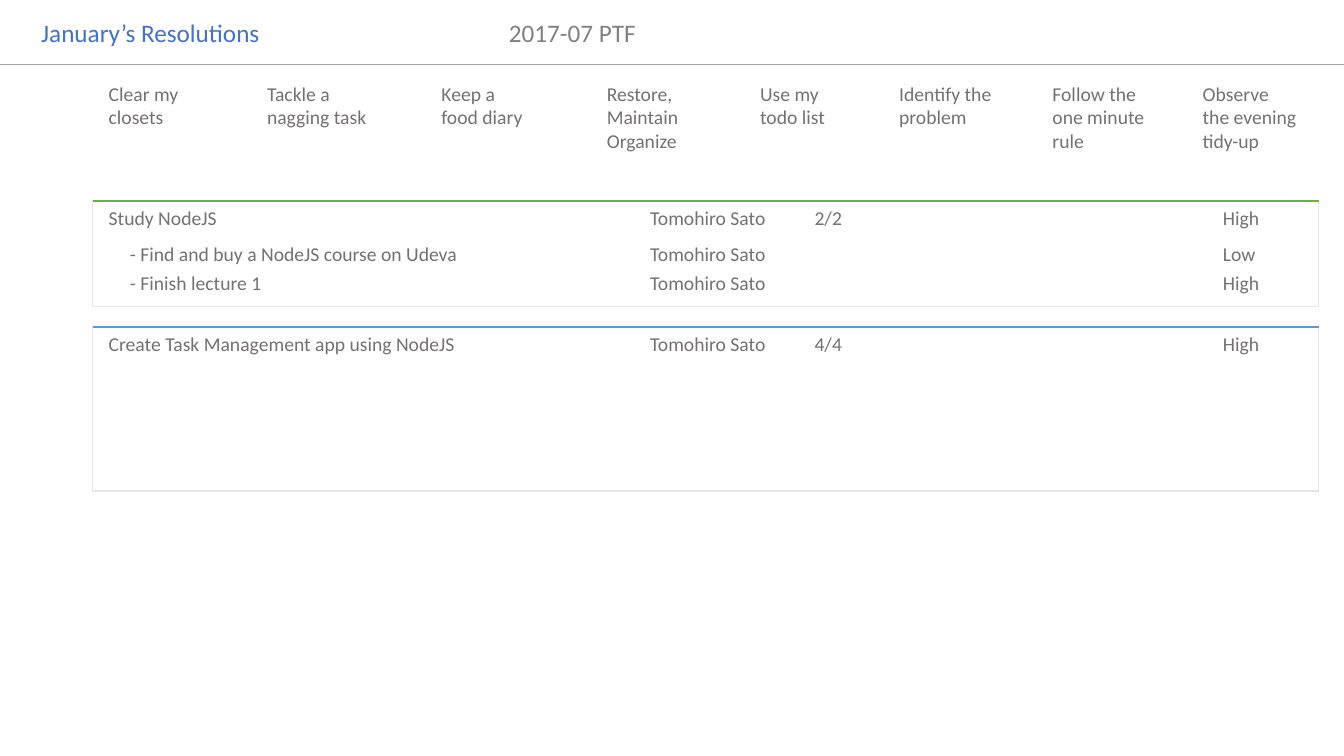
from pptx import Presentation
from pptx.util import Inches, Pt
from pptx.dml.color import RGBColor as RGB
from pptx.enum.shapes import MSO_SHAPE as SHAPE, MSO_CONNECTOR as LINK
from pptx.enum.text import MSO_AUTO_SIZE as FIT
from lxml.etree import SubElement
from pptx.oxml.ns import qn

BLUE = RGB(0x44, 0x72, 0xC4)
GRAY = RGB(0x80, 0x80, 0x80)
TEXT = RGB(0x76, 0x71, 0x71)
RULE = RGB(0xA5, 0xA5, 0xA5)
EDGE = RGB(0xE7, 0xE6, 0xE6)
GREEN = RGB(0x70, 0xAD, 0x47)
SKY = RGB(0x5B, 0x9B, 0xD5)

TITLES = [
    ("January’s Resolutions", 0.31, 2.39, BLUE),
    ("2017-07 PTF", 4.95, 1.47, GRAY),
]
HABITS = [
    ("Clear my closets", 0.98, 1.13),
    ("Tackle a nagging task", 2.55, 1.39),
    ("Keep a food diary", 4.28, 1.11),
    ("Restore, Maintain Organize", 5.92, 0.92),
    ("Use my todo list", 7.44, 1.02),
    ("Identify the problem", 8.82, 1.16),
    ("Follow the one minute rule", 10.34, 1.14),
    ("Observe the evening tidy-up", 11.83, 1.14),
]
OWNER = "Tomohiro Sato"
GOALS = [
    (1.99, 1.05, GREEN, [
        ("Study NodeJS", 1.28, "2/2", "High", 0),
        ("- Find and buy a NodeJS course on Udeva", 3.53, "", "Low", 0.36),
        ("- Finish lecture 1", 1.52, "", "High", 0.65),
    ]),
    (3.24, 1.63, SKY, [
        ("Create Task Management app using NodeJS", 3.67, "4/4", "High", 0),
    ]),
]
LEFT, WIDE = 0.92, 12.16
TASK, STEP, WHO, DONE, RANK = 0.98, 1.19, 6.35, 7.98, 12.03
RANKS = {"High": 0.57, "Low": 0.53}

deck = Presentation()
deck.slide_width, deck.slide_height = Inches(13.33), Inches(7.5)
slide = deck.slides.add_slide(deck.slide_layouts[6])


def write(text, x, y, w, h=0.34, size=14, color=TEXT, wrap=False):
    box = slide.shapes.add_textbox(Inches(x), Inches(y), Inches(w), Inches(h))
    frame = box.text_frame
    frame.text = text
    frame.word_wrap = wrap
    frame.auto_size = FIT.SHAPE_TO_FIT_TEXT
    font = frame.paragraphs[0].runs[0].font
    font.name, font.size, font.color.rgb = "Calibri", Pt(size), color


def rule(x, y, end, color, width):
    line = slide.shapes.add_connector(
        LINK.STRAIGHT, Inches(x), Inches(y), Inches(end), Inches(y))
    line.line.color.rgb, line.line.width = color, Pt(width)
    SubElement(line._element.spPr, qn("a:effectLst"))


def panel(y, h):
    card = slide.shapes.add_shape(
        SHAPE.ROUNDED_RECTANGLE, Inches(LEFT), Inches(y), Inches(WIDE), Inches(h))
    card.adjustments[0] = 0
    card.shadow.inherit = False
    card.fill.background()
    card.line.color.rgb, card.line.width = EDGE, Pt(1)


rule(0, 0.64, 13.33, RULE, 1)
for text, x, w, color in TITLES:
    write(text, x, 0.12, w, 0.4, 18, color)
for text, x, w in HABITS:
    write(text, x, 0.76, w, 0.57, wrap=True)

for top, high, color, tasks in GOALS:
    panel(top, high)
    rule(LEFT, top, LEFT + WIDE, color, 1.5)
    for text, w, done, rank, drop in tasks:
        y = top + drop
        write(text, STEP if drop else TASK, y, w)
        write(OWNER, WHO, y, 1.36)
        write(rank, RANK, y, RANKS[rank])
        if done:
            write(done, DONE, y, 0.48)

deck.save("out.pptx")
